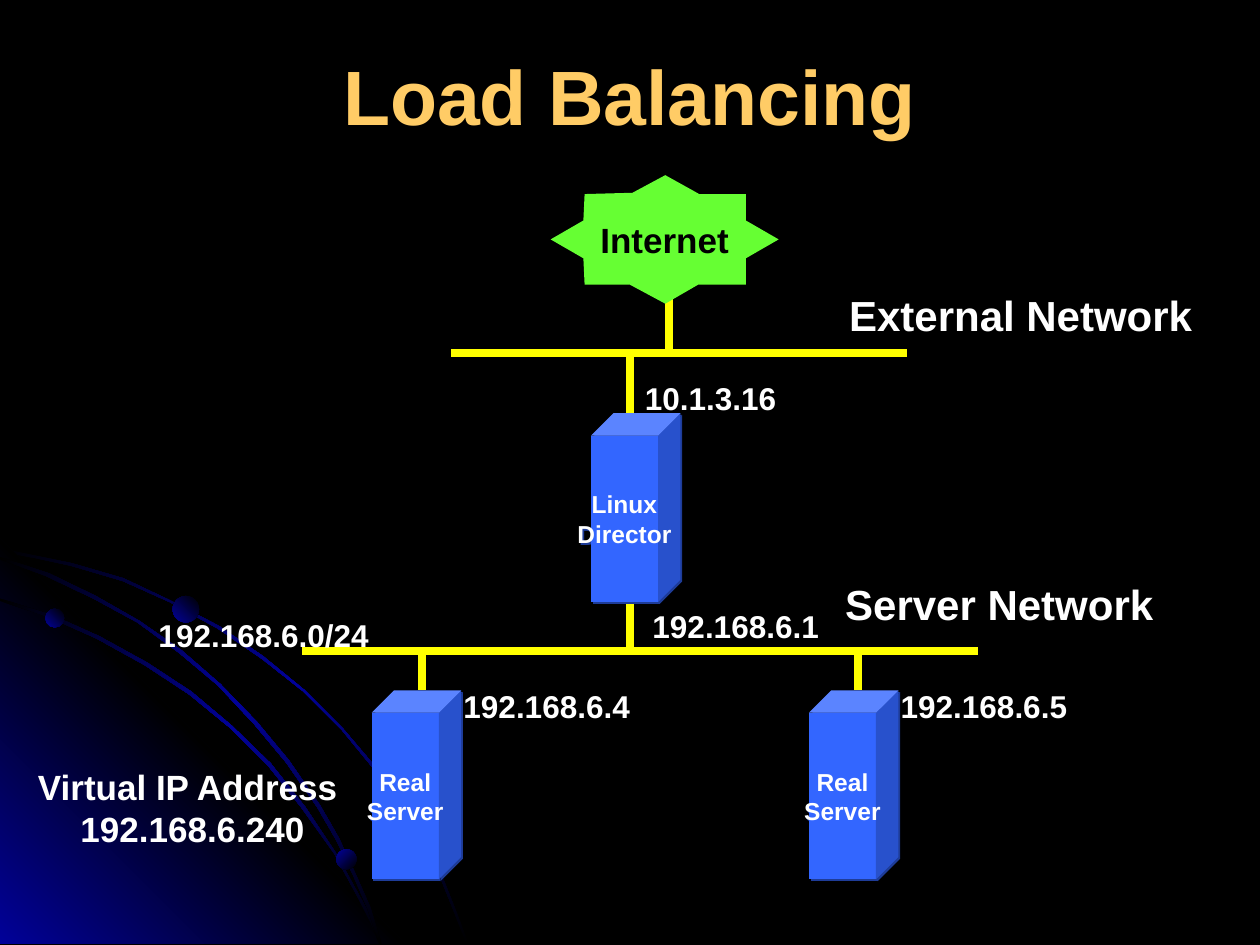
from lxml import etree
from pptx import Presentation
from pptx.dml.color import RGBColor
from pptx.enum.shapes import MSO_CONNECTOR, MSO_SHAPE, MSO_SHAPE_TYPE
from pptx.enum.text import MSO_ANCHOR, MSO_AUTO_SIZE, PP_ALIGN
from pptx.oxml import parse_xml
from pptx.oxml.ns import nsdecls, qn
from pptx.util import Inches, Pt

BLACK = RGBColor(0x00, 0x00, 0x00)
WHITE = RGBColor(0xFF, 0xFF, 0xFF)
NAVY = RGBColor(0x01, 0x01, 0x99)
GOLD = RGBColor(0xFF, 0xCC, 0x66)
BLUE = RGBColor(0x33, 0x66, 0xFF)
SHADE = RGBColor(0x1E, 0x3C, 0x98)
YELLOW = RGBColor(0xFF, 0xFF, 0x00)
GREEN = RGBColor(0x66, 0xFF, 0x33)
LEFT, CENTER = PP_ALIGN.LEFT, PP_ALIGN.CENTER
TOP, MIDDLE = MSO_ANCHOR.TOP, MSO_ANCHOR.MIDDLE
GROW = MSO_AUTO_SIZE.SHAPE_TO_FIT_TEXT
STRAIGHT = MSO_CONNECTOR.STRAIGHT
CUBE, OVAL = MSO_SHAPE.CUBE, MSO_SHAPE.OVAL
FREEFORM = MSO_SHAPE_TYPE.FREEFORM

prs = Presentation()
prs.slide_width, prs.slide_height = Inches(10), Inches(7.5)
slide = prs.slides.add_slide(prs.slide_layouts[6])
slide.background.fill.solid()
slide.background.fill.fore_color.rgb = BLACK
shapes = slide.shapes


def write(shape, text, size, color, align, anchor):
    frame = shape.text_frame
    frame.text = text
    frame.word_wrap = False
    frame.vertical_anchor = anchor
    for para in frame.paragraphs:
        para.alignment = align
        para.font.name = "Arial"
        para.font.size = Pt(size)
        para.font.bold = True
        para.font.color.rgb = color


def shade(shape, colors, angle):
    """Fill with evenly spaced gradient stops; the angle runs clockwise."""
    shape.shadow.inherit = False
    shape.line.fill.background()
    step = 100000 // (len(colors) - 1)
    stops = "".join(
        f'<a:gs pos="{i * step}"><a:srgbClr val="{color}"/></a:gs>'
        for i, color in enumerate(colors))
    grad = parse_xml(
        f'<a:gradFill {nsdecls("a")} rotWithShape="1"><a:gsLst>{stops}</a:gsLst>'
        f'<a:lin ang="{angle * 60000}" scaled="0"/></a:gradFill>')
    shape.element.spPr.find(qn("a:custGeom" if shape.shape_type == FREEFORM
                               else "a:prstGeom")).addnext(grad)


# Background swirl, points in hundredths of an inch
wide_arc = [
    (57, 447), (28, 441), (0, 435), (0, 438), (28, 443), (56, 449), (97, 461),
    (135, 478), (173, 499), (208, 523), (241, 549), (271, 579), (298, 612),
    (323, 649), (337, 673), (350, 698), (360, 723), (370, 749), (372, 749),
    (362, 723), (352, 698), (339, 673), (325, 648), (300, 611), (272, 578),
    (242, 548), (209, 521), (174, 497), (136, 477), (98, 459)]
corner = [(322, 749), (0, 749), (0, 427)]
low_arc = [
    (285, 714), (294, 732), (301, 749), (303, 749), (296, 730), (286, 712),
    (266, 676), (242, 640), (215, 606), (184, 576), (152, 549), (117, 526),
    (79, 505), (41, 488), (0, 475), (0, 477), (39, 490), (77, 507),
    (115, 528), (150, 551), (183, 578), (213, 608), (240, 642), (265, 677)]
mid_arc = [
    (0, 442), (0, 444), (36, 457), (74, 475), (109, 494), (142, 518),
    (173, 544), (202, 575), (227, 605), (252, 641), (267, 667), (280, 694),
    (292, 722), (301, 749), (303, 749), (294, 720), (282, 693), (269, 665),
    (254, 639), (229, 603), (204, 573), (175, 543), (144, 516), (111, 493),
    (76, 473), (39, 455)]
arc_fill = (BLACK, NAVY, BLACK), 225
for points, (colors, angle) in (
        (wide_arc, arc_fill), (corner, ((NAVY, BLACK, NAVY), 135)),
        (low_arc, arc_fill), (mid_arc, arc_fill)):
    path = shapes.build_freeform(*points[0], scale=Inches(0.01))
    path.add_line_segments(points[1:], close=True)
    shade(path.convert_to_shape(), colors, angle)

for x, y, size, angle in ((0.36, 4.83, 0.15, 135), (2.67, 6.74, 0.16, 225),
                          (1.37, 4.73, 0.21, 135)):
    dot = shapes.add_shape(OVAL, Inches(x), Inches(y), Inches(size), Inches(size))
    shade(dot, (BLACK, NAVY), angle)

# Network lines
for x1, y1, x2, y2 in (
        (3.58, 2.8, 7.2, 2.8), (5, 3.36, 5, 2.8), (5.31, 2.25, 5.31, 2.8),
        (2.4, 5.17, 7.76, 5.17), (3.35, 5.17, 3.35, 5.48),
        (6.81, 5.17, 6.81, 5.48), (5, 4.77, 5, 5.17)):
    wire = shapes.add_connector(STRAIGHT, Inches(x1), Inches(y1),
                                Inches(x2), Inches(y2))
    wire.line.color.rgb = YELLOW
    wire.line.width = Pt(4.5)
    etree.SubElement(wire.element.spPr, qn("a:effectLst"))

# Servers
for x, y, name in ((6.42, 5.48, "Real\nServer"), (2.95, 5.48, "Real\nServer"),
                   (4.69, 3.28, "Linux\nDirector")):
    box = shapes.add_shape(CUBE, Inches(x), Inches(y), Inches(0.71), Inches(1.5))
    box.adjustments[0] = 0.25
    box.fill.solid()
    box.fill.fore_color.rgb = BLUE
    box.line.fill.background()
    box.shadow.inherit = False
    box.element.spPr.find(qn("a:effectLst")).append(parse_xml(
        f'<a:outerShdw {nsdecls("a")} dist="{Pt(1.4)}" dir="2700000" algn="ctr" '
        f'rotWithShape="0"><a:srgbClr val="{SHADE}"/></a:outerShdw>'))
    write(box, name, 14, WHITE, CENTER, MIDDLE)

# Internet star
star = [(437, 190), (463, 205), (464, 226), (500, 226), (528, 241), (554, 226),
        (592, 226), (592, 205), (618, 190), (592, 175), (592, 154), (555, 154),
        (528, 139), (502, 153), (464, 154), (463, 175)]
path = shapes.build_freeform(*star[0], scale=Inches(0.01))
path.add_line_segments(star[1:], close=True)
cloud = path.convert_to_shape()
cloud.fill.solid()
cloud.fill.fore_color.rgb = GREEN
cloud.line.fill.background()
cloud.shadow.inherit = False
write(cloud, "Internet", 20, BLACK, CENTER, MIDDLE)

# Title
title = shapes.add_textbox(Inches(0.5), Inches(0.13), Inches(9), Inches(1.25))
write(title, "Load Balancing", 44, GOLD, CENTER, MIDDLE)

# Labels
for x, y, w, h, text, size, align in (
        (6.64, 2.25, 2.92, 0.5, "External Network", 24, LEFT),
        (6.61, 4.54, 2.7, 0.5, "Server Network", 24, LEFT),
        (5.02, 2.96, 1.24, 0.4, "10.1.3.16", 18, LEFT),
        (1.16, 4.84, 1.87, 0.4, "192.168.6.0/24", 18, LEFT),
        (5.08, 4.77, 1.52, 0.4, "192.168.6.1", 18, LEFT),
        (3.58, 5.4, 1.52, 0.4, "192.168.6.4", 18, LEFT),
        (7.05, 5.4, 1.52, 0.4, "192.168.6.5", 18, LEFT),
        (0.19, 6.03, 2.6, 0.77, "Virtual IP Address\n 192.168.6.240",
         20, CENTER)):
    label = shapes.add_textbox(Inches(x), Inches(y), Inches(w), Inches(h))
    write(label, text, size, WHITE, align, TOP)
    label.text_frame.auto_size = GROW

prs.save("out.pptx")
